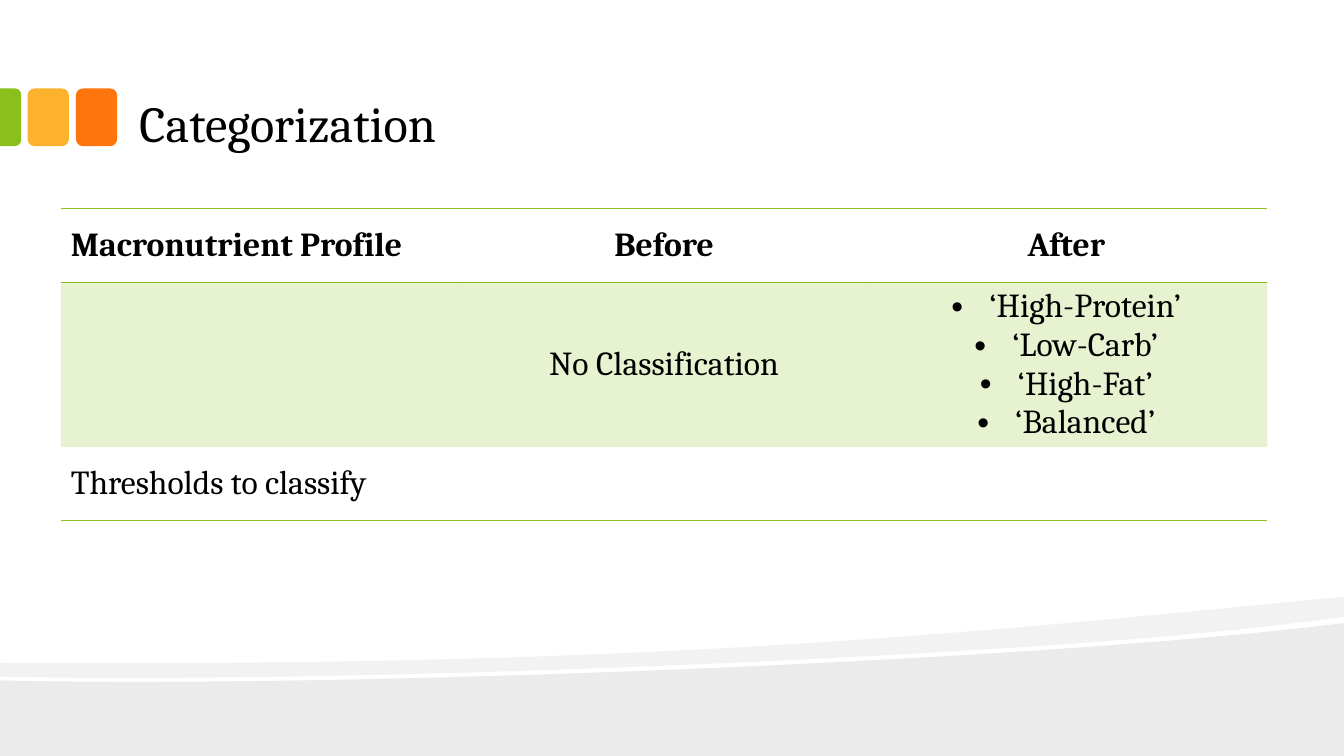
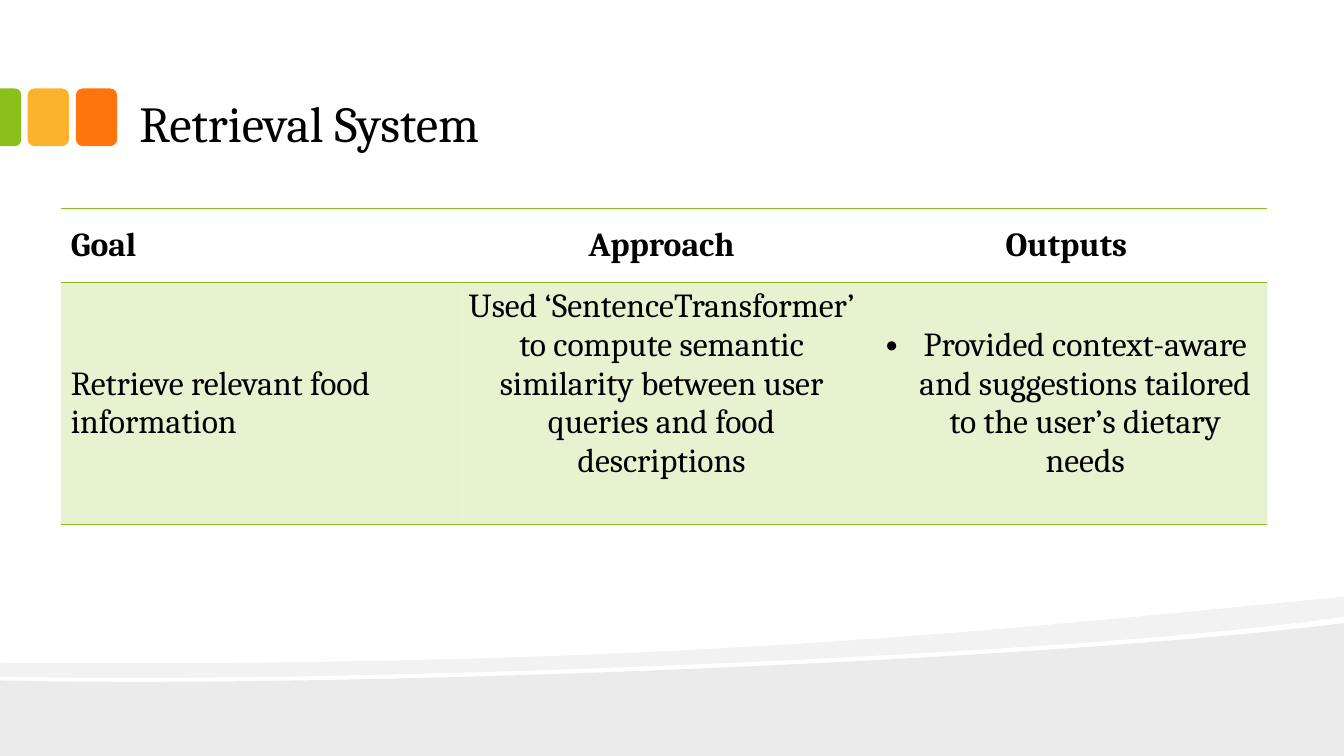
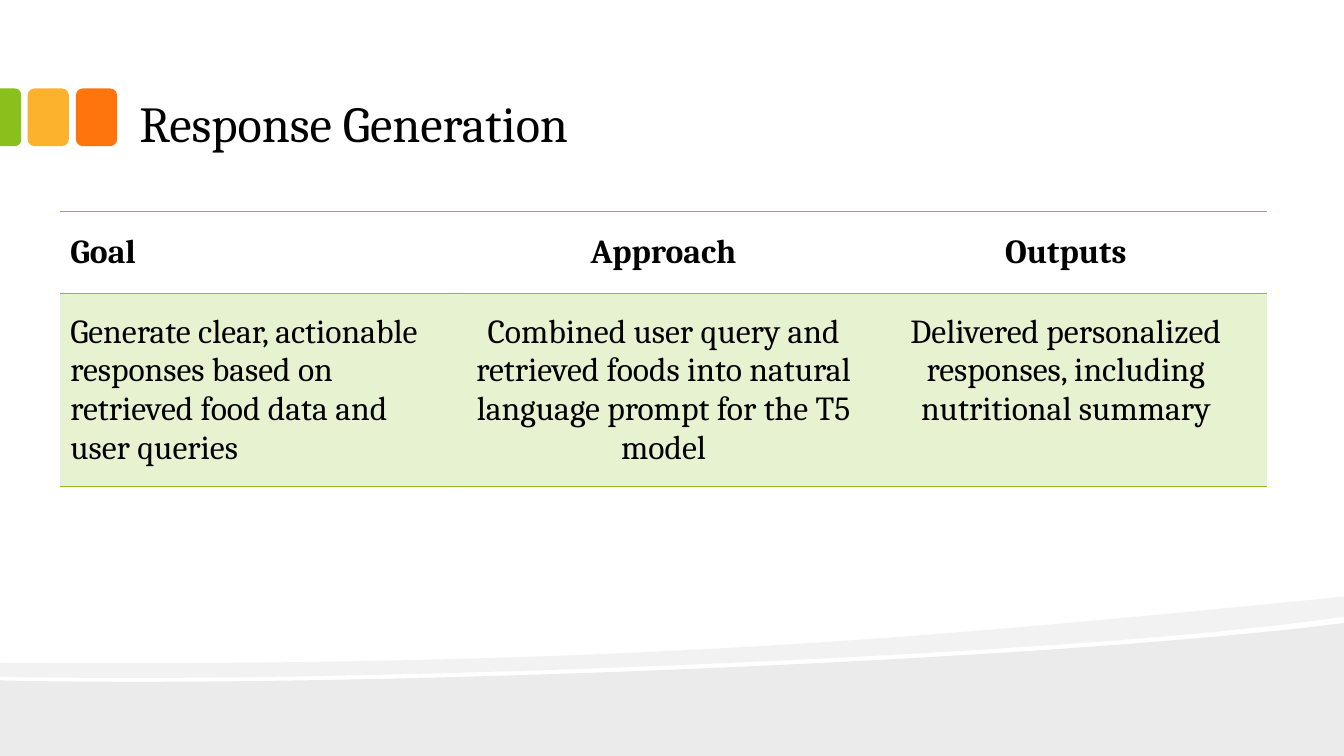
from pptx import Presentation
from pptx.dml.color import RGBColor
from pptx.enum.shapes import MSO_SHAPE
from pptx.enum.text import MSO_ANCHOR, MSO_AUTO_SIZE, PP_ALIGN
from pptx.oxml.ns import qn
from pptx.util import Pt
from lxml import etree

LEFT, CENTER = PP_ALIGN.LEFT, PP_ALIGN.CENTER
MIDDLE, BOTTOM = MSO_ANCHOR.MIDDLE, MSO_ANCHOR.BOTTOM
NO_FIT = MSO_AUTO_SIZE.NONE
ROUND, TAB = MSO_SHAPE.ROUNDED_RECTANGLE, MSO_SHAPE.ROUND_2_SAME_RECTANGLE

FONT = "Cambria"
BLACK, GREEN, YELLOW, ORANGE = "000000", "89C01C", "FCB22C", "FE750E"
PLAIN = "{2D5ABB26-0587-4C30-8999-92F81FD0307C}"
WIDE, HIGH = 960, 540
LINE = 27.6

DARK_BAND = [[(960, 445)], [(960, HIGH)], [(0, HIGH)], [(0, 486)],
             [(253.4, 491.8), (750.2, 471.6), (960, 445)]]
LIGHT_BAND = [[(960, 426.2)], [(960, 440.6)],
              [(903.6, 448.6), (827.3, 455.8), (740.9, 461.5)],
              [(502.6, 477.4), (185.8, 487.4), (0, 483.4)],
              [(0, 473.4)],
              [(469.4, 477), (699.1, 451.4), (960, 426.2)]]

PAGES = [
    dict(title="Categorization", left=43.4, top=149,
         cols=(287.3, 287.3, 287.3), tall=(52.8, 117.6, 52.6), lift=None,
         rows=[
             ["Macronutrient Profile", "Before", "After"],
             ["", "No Classification",
              ["‘High-Protein’", "‘Low-Carb’", "‘High-Fat’", "‘Balanced’"]],
             ["Thresholds to classify", "", ""]]),
    dict(title="Retrieval System", left=43.4, top=149,
         cols=(283.7, 290.9, 287.3), tall=(52.8, 172.8), lift=1,
         rows=[
             ["Goal", "Approach", "Outputs"],
             ["Retrieve relevant food information",
              "Used ‘SentenceTransformer’ to compute semantic similarity "
              "between user queries and food descriptions",
              ["Provided context-aware and suggestions tailored to the "
               "user’s dietary needs"]]]),
    dict(title="Response Generation", left=43, top=151.1,
         cols=(287.3, 287.3, 287.3), tall=(58.7, 137.8), lift=2,
         rows=[
             ["Goal", "Approach", "Outputs"],
             ["Generate clear, actionable responses based on retrieved food "
              "data and user queries",
              "Combined user query and retrieved foods into natural language "
              "prompt for the T5 model",
              "Delivered personalized responses, including nutritional "
              "summary"]]),
]


def color(code):
    """Turn a hex string into a colour."""
    return RGBColor.from_string(code)


def paint(fill, node, code, alpha=100):
    """Fill solidly, with an opacity in percent."""
    fill.solid()
    fill.fore_color.rgb = color(code)
    if alpha < 100:
        tone = node.find(qn("a:solidFill")).find(qn("a:srgbClr"))
        etree.SubElement(tone, qn("a:alpha"), val=str(alpha * 1000))


def finish(shape, code, alpha=100):
    """Give a shape a flat fill without outline or shadow."""
    paint(shape.fill, shape.element.spPr, code, alpha)
    shape.line.fill.background()
    shape.shadow.inherit = False
    return shape


def style(para, size, bold=False):
    """Set the font of every run in a paragraph."""
    for run in para.runs:
        font = run.font
        font.name, font.size, font.bold = FONT, Pt(size), bold
        font.color.rgb = color(BLACK)


def add_band(slide, outline, alpha):
    """Draw a translucent wave; parts of three points are cubic curves."""
    ends = [tuple(map(Pt, part[-1])) for part in outline]
    pen = slide.shapes.build_freeform(*ends[0])
    pen.add_line_segments(ends[1:], close=True)
    shape = pen.convert_to_shape()
    route = shape.element.find(".//" + qn("a:pathLst"))[0]
    for part, step in zip(outline, list(route)):
        if len(part) == 3:
            bend = etree.Element(qn("a:cubicBezTo"))
            for x, y in part:
                etree.SubElement(bend, qn("a:pt"), x=str(Pt(x) - shape.left),
                                 y=str(Pt(y) - shape.top))
            route.replace(step, bend)
    return finish(shape, BLACK, alpha)


def add_block(slide, kind, box, code):
    """Draw one colour block."""
    shape = slide.shapes.add_shape(kind, *map(Pt, box))
    return finish(shape, code)


def add_decor(slide, layout):
    """Draw the shared bands and blocks and move them to the layout."""
    tab = add_block(slide, TAB, (-13, 76.3, 41.2, 15), GREEN)
    tab.rotation = 90
    tab.adjustments[0] = 0.29
    decor = [add_band(slide, DARK_BAND, 8), add_band(slide, LIGHT_BAND, 5),
             add_block(slide, ROUND, (54.2, 63.2, 29.5, 41.2), ORANGE),
             add_block(slide, ROUND, (19.7, 63.2, 29.5, 41.2), YELLOW), tab]
    for shape in decor:
        layout.shapes.element.append(shape.element)


def add_title(slide, text):
    """Place and format the title."""
    title = slide.shapes.title
    title.left, title.top = Pt(90), Pt(11.6)
    title.width, title.height = Pt(767.5), Pt(102.2)
    frame = title.text_frame
    frame.text = text
    frame.auto_size, frame.word_wrap = NO_FIT, True
    frame.vertical_anchor = BOTTOM
    frame.margin_left = frame.margin_right = Pt(9.6)
    frame.margin_top = frame.margin_bottom = Pt(4.8)
    para = frame.paragraphs[0]
    para.alignment = LEFT
    style(para, 36)


def add_bullet(para):
    """Give a paragraph a hanging bullet."""
    props = para._p.get_or_add_pPr()
    props.set("marL", str(Pt(27)))
    props.set("indent", str(-Pt(27)))
    etree.SubElement(props, qn("a:buFont"), typeface="Arial")
    etree.SubElement(props, qn("a:buChar"), char="•")


def add_rules(cell, sides):
    """Draw green rules on the given sides, listed top first."""
    props = cell._tc.get_or_add_tcPr()
    for place, side in enumerate(sides):
        rule = etree.Element(qn("a:ln" + side), w=str(Pt(1)))
        fill = etree.SubElement(rule, qn("a:solidFill"))
        etree.SubElement(fill, qn("a:srgbClr"), val=GREEN)
        props.insert(place, rule)


def fill_cell(cell, content, align, bold):
    """Write text, or a list of bullets, into a cell."""
    bullets = isinstance(content, list)
    frame = cell.text_frame
    frame.text = "\n".join(content) if bullets else content
    cell.vertical_anchor = MIDDLE
    for para in frame.paragraphs:
        para.alignment = align
        style(para, 24, bold)
        if bullets:
            add_bullet(para)


def add_grid(slide, page):
    """Add the table of a page."""
    rows, cols, tall = page["rows"], page["cols"], page["tall"]
    box = (page["left"], page["top"], sum(cols), sum(tall))
    frame = slide.shapes.add_table(len(rows), len(cols), *map(Pt, box))
    table = frame.table
    table.horz_banding = False
    frame.element.find(".//" + qn("a:tableStyleId")).text = PLAIN
    for col, width in zip(table.columns, cols):
        col.width = Pt(width)
    for r, row in enumerate(rows):
        table.rows[r].height = Pt(tall[r])
        for c, content in enumerate(row):
            cell = table.cell(r, c)
            fill_cell(cell, content, CENTER if c else LEFT, r == 0)
            if r == 1:
                props = cell._tc.get_or_add_tcPr()
                paint(cell.fill, props, GREEN, 20)
                if c == page["lift"]:
                    cell.margin_bottom = Pt(3.6 + LINE)
            else:
                cell.fill.background()
            if r == 0:
                add_rules(cell, "TB")
            elif r == len(rows) - 1:
                add_rules(cell, "B")


def main():
    """Build and save the deck."""
    deck = Presentation()
    deck.slide_width, deck.slide_height = Pt(WIDE), Pt(HIGH)
    layout = deck.slide_layouts[5]
    for index, page in enumerate(PAGES):
        slide = deck.slides.add_slide(layout)
        if index == 0:
            add_decor(slide, layout)
        add_title(slide, page["title"])
        add_grid(slide, page)
    deck.save("out.pptx")


if __name__ == "__main__":
    main()
